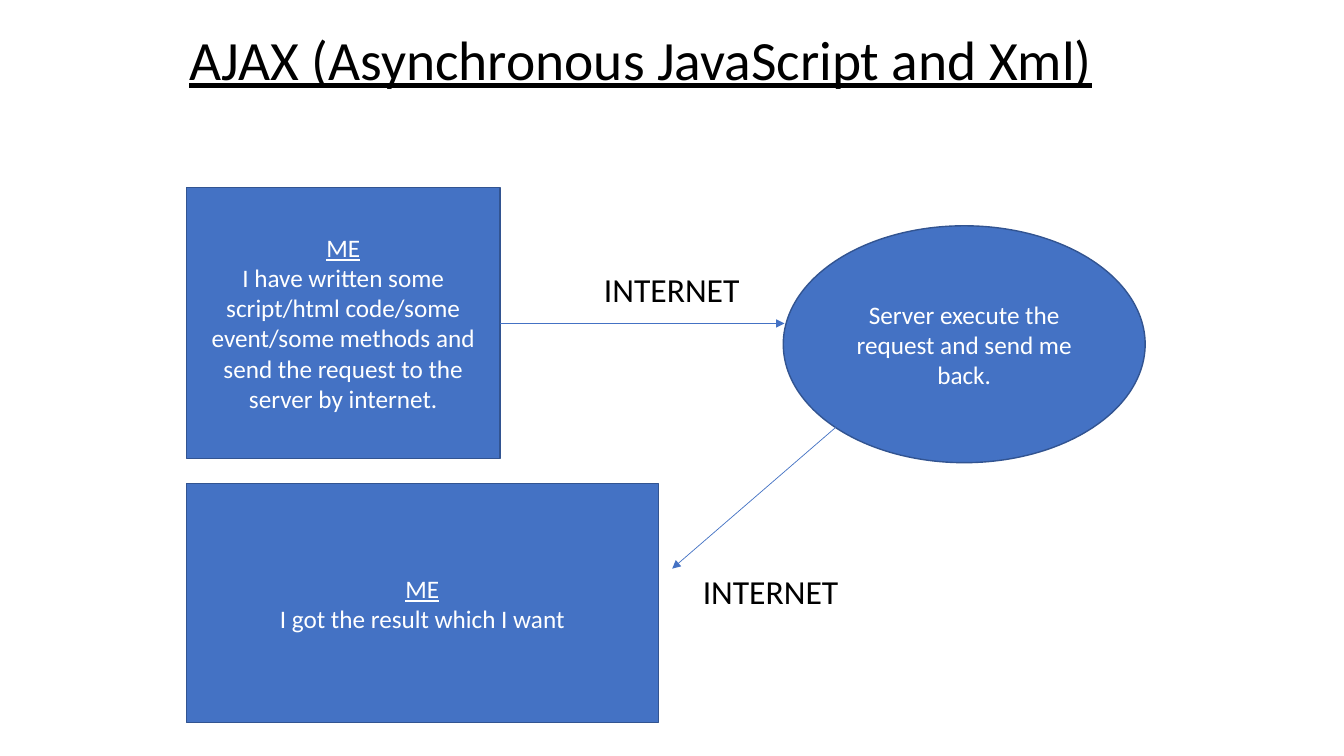
from lxml.etree import SubElement
from pptx import Presentation
from pptx.dml.color import RGBColor
from pptx.enum.shapes import MSO_CONNECTOR, MSO_SHAPE
from pptx.enum.text import MSO_ANCHOR, MSO_AUTO_SIZE, PP_ALIGN
from pptx.oxml.ns import qn
from pptx.util import Cm, Pt

BLUE, EDGE, WHITE, BLACK = "4472C4", "325491", "FFFFFF", "000000"


def rgb(value):
    """Turn a hex string into a colour."""
    return RGBColor.from_string(value)


def write(tf, lines, size, color, underline_first=False, anchor=MSO_ANCHOR.MIDDLE):
    """Fill a text frame with centred paragraphs."""
    tf.word_wrap = True
    tf.auto_size = MSO_AUTO_SIZE.NONE
    tf.vertical_anchor = anchor
    for i, line in enumerate(lines):
        p = tf.paragraphs[0] if i == 0 else tf.add_paragraph()
        p.text = line
        p.alignment = PP_ALIGN.CENTER
        font = p.font
        font.name, font.size = "Calibri", Pt(size)
        font.color.rgb = rgb(color)
        font.underline = underline_first and i == 0


def add_title(s, text, x, y, w, h):
    """Place and format the title placeholder."""
    title = s.shapes.title
    title.left, title.top, title.width, title.height = map(Cm, (x, y, w, h))
    write(title.text_frame, [text], 39.6, BLACK, True, MSO_ANCHOR.TOP)
    title.text_frame.paragraphs[0].line_spacing = 0.9


def add_node(s, kind, lines, x, y, w, h):
    """Draw a blue shape, underlining its heading if it has one."""
    sp = s.shapes.add_shape(kind, Cm(x), Cm(y), Cm(w), Cm(h))
    sp.shadow.inherit = False
    sp.fill.solid()
    sp.fill.fore_color.rgb = rgb(BLUE)
    sp.line.color.rgb = rgb(EDGE)
    sp.line.width = Pt(1)
    write(sp.text_frame, lines, 18, WHITE, len(lines) > 1)


def add_label(s, text, cx, cy, w=5, h=1.2):
    """Centre a label on a point."""
    tb = s.shapes.add_textbox(Cm(cx - w / 2), Cm(cy - h / 2), Cm(w), Cm(h))
    write(tb.text_frame, [text], 24, BLACK)


def add_arrow(s, x1, y1, x2, y2):
    """Draw a thin line with a triangle at its end."""
    cn = s.shapes.add_connector(MSO_CONNECTOR.STRAIGHT, Cm(x1), Cm(y1), Cm(x2), Cm(y2))
    cn.line.color.rgb = rgb(BLUE)
    cn.line.width = Pt(0.5)
    SubElement(cn.line._get_or_add_ln(), qn("a:tailEnd"), type="triangle")
    SubElement(cn._element.spPr, qn("a:effectLst"))


def add_flow(s, x, y, w, h):
    """Draw the request and response cycle inside a box."""
    request = ["ME", "I have written some script/html code/some event/some methods "
               "and send the request to the server by internet."]
    result = ["ME", "I got the result which I want"]
    server = ["Server execute the request and send me back."]
    server_w, result_h = 9.12, 6.02
    server_x = x + w - server_w
    add_node(s, MSO_SHAPE.RECTANGLE, request, x, y, 7.9, 6.83)
    add_node(s, MSO_SHAPE.OVAL, server, server_x, y + 0.97, server_w, 5.97)
    add_node(s, MSO_SHAPE.RECTANGLE, result, x, y + h - result_h, 11.89, result_h)
    add_arrow(s, x + 7.9, y + 3.43, server_x + 0.03, y + 3.43)
    add_arrow(s, server_x + 1.32, y + 6.05, x + 12.24, y + 9.61)
    add_label(s, "INTERNET", x + 12.23, y + 2.57)
    add_label(s, "INTERNET", x + 14.72, y + 10.18)


def main():
    """Build the slide and save it."""
    prs = Presentation()
    prs.slide_width, prs.slide_height = Cm(33.87), Cm(19.05)
    s = prs.slides.add_slide(prs.slide_layouts[5])
    add_title(s, "AJAX (Asynchronous JavaScript and Xml)", 3.45, 0.69, 25.4, 4.04)
    add_flow(s, 4.7, 4.72, 24.16, 13.49)
    prs.save("out.pptx")


if __name__ == "__main__":
    main()
